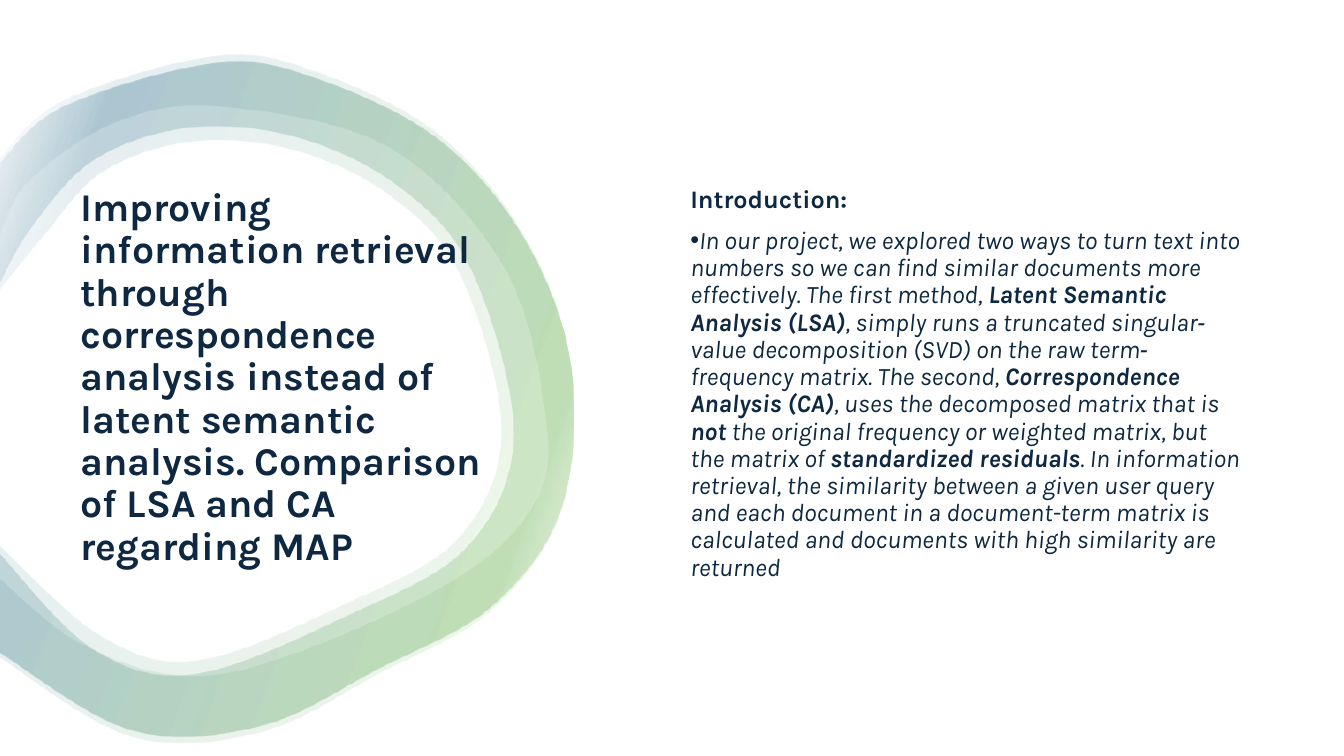
from dataclasses import dataclass

from pptx import Presentation
from pptx import oxml
from pptx import util as u
from pptx.dml import color
from pptx.enum import text
from pptx.oxml import ns

Point = tuple[float, float]
Run = tuple[str, bool, bool]  # words, bold, italic


@dataclass(frozen=True)
class Theme:
    font: str = "Karla"
    ink: str = "0E2841"
    title_size: int = 28
    body_size: int = 18
    line_spacing: float = 0.9
    space_before: int = 10
    ring_stops: tuple = ((2, "FFFFFF"), (16, "4EA72E"), (85, "156082"), (100, "FFFFFF"))
    ring_alpha: int = 10
    ring_angle: int = 200


@dataclass(frozen=True)
class Band:
    """One translucent ring layer; both edges run from the slide's left side back to it."""
    outer: list[Point]
    inner: list[Point]


@dataclass(frozen=True)
class Paragraph:
    runs: list[Run]
    bullet: bool = False


@dataclass(frozen=True)
class TextBlock:
    left: float
    top: float
    width: float
    height: float
    size: int
    paragraphs: list[Paragraph]


THEME = Theme()
RING_CENTER = (190, 285)

OUTER = [(-1, 117), (45, 76), (152, 45), (223, 55), (312, 99), (374, 171), (407, 262),
         (400, 363), (350, 433), (270, 477), (186, 518), (93, 521), (-1, 465)]
INNER = [(-1, 394), (66, 463), (139, 481), (248, 439), (333, 390), (366, 310), (336, 193),
         (284, 133), (212, 98), (135, 91), (67, 114), (22, 163), (-1, 204)]
NARROW_INNER = [(-1, 412), (55, 458), (127, 482), (203, 469), (322, 415), (380, 361),
                (389, 300), (360, 192), (277, 105), (156, 76), (81, 88), (20, 130), (-1, 170)]

TITLE = TextBlock(50.4, 97.9, 303.8, 344.2, THEME.title_size, [Paragraph([(
    "Improving information retrieval through correspondence analysis instead of latent "
    "semantic analysis. Comparison of LSA and CA regarding MAP", True, False)])])

BODY = TextBlock(486, 68.4, 411.1, 411.8, THEME.body_size, [
    Paragraph([("Introduction:", True, False)]),
    Paragraph([
        ("In our project, we explored two ways to turn text into numbers so we can find similar "
         "documents more effectively. The first method, ", False, True),
        ("Latent Semantic Analysis (LSA)", True, True),
        (", simply runs a truncated singular‐value decomposition (SVD) on the raw "
         "term‐frequency matrix. The second, ", False, True),
        ("Correspondence Analysis (CA)", True, True),
        (", uses the decomposed matrix that is ", False, True),
        ("not", True, True),
        (" the original frequency or weighted matrix, but the matrix of ", False, True),
        ("standardized residuals", True, True),
        (". In information retrieval, the similarity between a given user query and each "
         "document in a document-term matrix is calculated and documents with high similarity "
         "are returned", False, True),
    ], bullet=True),
])


def scaled(edge: list[Point], sx: float, sy: float) -> list[Point]:
    """Scale an edge about the ring's centre, keeping its ends on the slide's left side."""
    cx, cy = RING_CENTER
    points = [(cx + (x - cx) * sx, cy + (y - cy) * sy) for x, y in edge]
    return [(edge[0][0], points[0][1]), *points[1:-1], (edge[-1][0], points[-1][1])]


def smooth(anchors: list[Point], steps: int = 8) -> list[Point]:
    """Sample a Catmull-Rom curve that passes through the anchors."""
    padded = [anchors[0], *anchors, anchors[-1]]
    curve = []
    for a, b, c, d in zip(padded, padded[1:], padded[2:], padded[3:]):
        for i in range(steps):
            t = i / steps
            curve.append(tuple(
                b[k] + t / 2 * (c[k] - a[k]
                                + t * (2 * a[k] - 5 * b[k] + 4 * c[k] - d[k])
                                + t * t * (3 * (b[k] - c[k]) + d[k] - a[k]))
                for k in (0, 1)))
    return [*curve, anchors[-1]]


def ring_gradient():
    stops = "".join(
        f'<a:gs pos="{pos * 1000}"><a:srgbClr val="{rgb}">'
        f'<a:alpha val="{THEME.ring_alpha * 1000}"/></a:srgbClr></a:gs>'
        for pos, rgb in THEME.ring_stops)
    return oxml.parse_xml(
        f'<a:gradFill {ns.nsdecls("a")}><a:gsLst>{stops}</a:gsLst>'
        f'<a:lin ang="{THEME.ring_angle * 60000}" scaled="0"/></a:gradFill>')


def draw_band(s, band: Band) -> None:
    outline = [(u.Pt(x), u.Pt(y)) for x, y in smooth(band.outer) + smooth(band.inner)]
    builder = s.shapes.build_freeform(*outline[0])
    builder.add_line_segments(outline[1:], close=True)
    sp = builder.convert_to_shape()
    sp.shadow.inherit = False
    sp.line.fill.background()
    sp.fill.background()
    props = sp.element.spPr
    props.replace(props.find(ns.qn("a:noFill")), ring_gradient())


def add_bullet(p) -> None:
    props = p._p.get_or_add_pPr()
    props.set("marL", "0")
    props.set("indent", str(-u.Pt(18)))
    props.append(oxml.parse_xml(f'<a:buFont {ns.nsdecls("a")} typeface="Arial"/>'))
    props.append(oxml.parse_xml(f'<a:buChar {ns.nsdecls("a")} char="•"/>'))


def draw_text(s, block: TextBlock) -> None:
    box = s.shapes.add_textbox(*map(u.Pt, (block.left, block.top, block.width, block.height)))
    tf = box.text_frame
    tf.word_wrap = True
    tf.vertical_anchor = text.MSO_ANCHOR.MIDDLE
    for i, paragraph in enumerate(block.paragraphs):
        p = tf.add_paragraph() if i else tf.paragraphs[0]
        if paragraph.bullet:
            add_bullet(p)
        p.line_spacing = THEME.line_spacing
        if i:
            p.space_before = u.Pt(THEME.space_before)
        for words, bold, italic in paragraph.runs:
            r = p.add_run()
            r.text = words
            r.font.name = THEME.font
            r.font.size = u.Pt(block.size)
            r.font.bold = bold
            r.font.italic = italic
            r.font.color.rgb = color.RGBColor.from_string(THEME.ink)


def main() -> None:
    prs = Presentation()
    prs.slide_width, prs.slide_height = u.Pt(960), u.Pt(540)
    s = prs.slides.add_slide(prs.slide_layouts[6])
    bands = [
        Band(scaled(OUTER, 1, 1.02), NARROW_INNER),
        Band(OUTER, INNER),
        Band(OUTER, scaled(INNER, 0.95, 0.95)),
        Band(OUTER, INNER),
    ]
    for band in bands:
        draw_band(s, band)
    for block in (TITLE, BODY):
        draw_text(s, block)
    prs.save("out.pptx")


if __name__ == "__main__":
    main()
